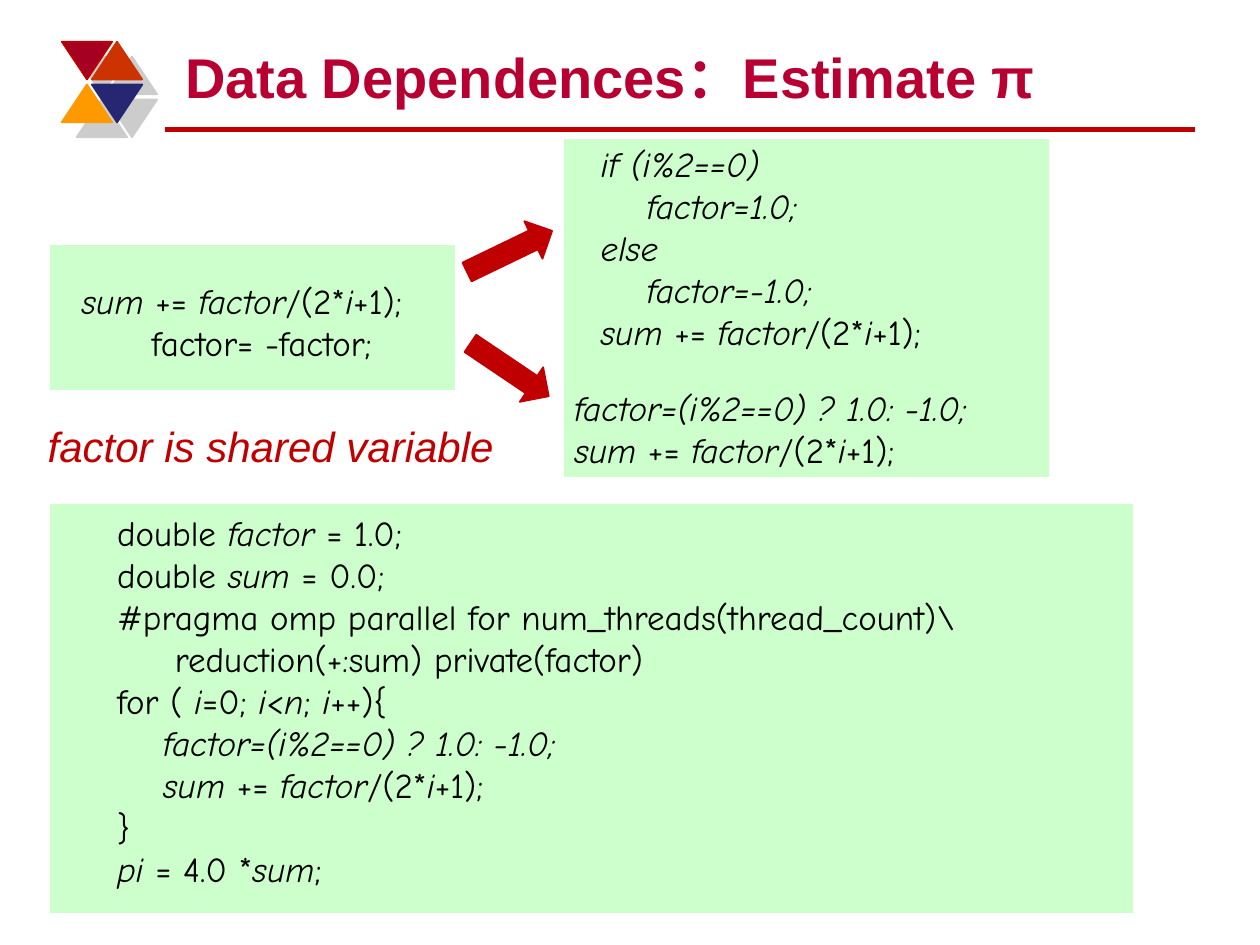
import dataclasses

import lxml.etree
import pptx
import pptx.dml.color
import pptx.enum.shapes
import pptx.enum.text
import pptx.oxml.ns
import pptx.util

Pt = pptx.util.Pt
SHAPES = pptx.enum.shapes.MSO_SHAPE
ANCHORS = pptx.enum.text.MSO_ANCHOR
SUM_LINE = "~sum~ += ~factor~/(2*~i~+1);"
TERNARY_LINE = "~factor=(i%2==0) ? 1.0: -1.0;~"


@dataclasses.dataclass(frozen=True)
class Theme:
    """Colours, fonts and type sizes of the slide."""
    title: str = "B70031"
    accent: str = "C00000"
    panel: str = "CCFFCC"
    paper: str = "FFFFFF"
    ink: str = "000000"
    maroon: str = "A50021"
    rust: str = "CC3300"
    amber: str = "FF9900"
    navy: str = "262673"
    sans: str = "Arial"
    code: str = "Comic Neue"
    title_size: int = 32
    remark_size: int = 24
    code_size: int = 20


THEME = Theme()


def rgb(value):
    """Turn a hex string into a colour."""
    return pptx.dml.color.RGBColor.from_string(value)


def add_shape(slide, kind, box, fill, line, rotation=0):
    """Place a filled and outlined preset shape."""
    shape = slide.shapes.add_shape(kind, *map(Pt, box))
    shape.shadow.inherit = False
    shape.fill.solid()
    shape.fill.fore_color.rgb = rgb(fill)
    shape.line.color.rgb = rgb(line)
    shape.line.width = Pt(1)
    shape.rotation = rotation
    return shape


def add_text(slide, box, lines, font, size, color, bold=False, anchor=ANCHORS.TOP):
    """Write (indent, text) lines, where each tilde switches italics."""
    frame = slide.shapes.add_textbox(*map(Pt, box)).text_frame
    frame.word_wrap = True
    frame.vertical_anchor = anchor
    for index, (indent, text) in enumerate(lines):
        paragraph = frame.add_paragraph() if index else frame.paragraphs[0]
        if indent:
            paragraph._p.get_or_add_pPr().set("marL", str(Pt(indent)))
        for position, part in enumerate(text.split("~")):
            if part:
                run = paragraph.add_run()
                run.text = part
                run.font.name = font
                run.font.size = Pt(size)
                run.font.bold = bold
                run.font.italic = position % 2 == 1
                run.font.color.rgb = rgb(color)


def add_drop_shadow(shape):
    """Give a shape a hard, pale shadow to the lower right."""
    qn = pptx.oxml.ns.qn
    effects = shape._element.spPr.find(qn("a:effectLst"))
    shadow = lxml.etree.SubElement(effects, qn("a:outerShdw"), blurRad="0",
                                   dist=str(Pt(12.1)), dir="2700000", algn="ctr",
                                   rotWithShape="0")
    color = lxml.etree.SubElement(shadow, qn("a:srgbClr"), val=THEME.ink)
    lxml.etree.SubElement(color, qn("a:alpha"), val="20000")


def add_ornament(slide, box):
    """Draw the four triangles in two rows."""
    left, top, width, height = box
    side, rise = 28.8, 21.6
    right, lower = width - side, height - rise
    triangles = [
        (0, 0, 180, THEME.maroon, THEME.accent),
        (right, 0, 0, THEME.rust, THEME.rust),
        (0, lower, 0, THEME.amber, THEME.amber),
        (right, lower, 180, THEME.navy, THEME.navy),
    ]
    for x, y, rotation, fill, line in triangles:
        triangle = add_shape(slide, SHAPES.ISOSCELES_TRIANGLE,
                             (left + x, top + y, side, rise), fill, line, rotation)
        add_drop_shadow(triangle)


def add_header(slide, box):
    """Place the ornament, the rule and the title."""
    left, top, width, height = box
    rule_top = top + height
    rule = slide.shapes.add_connector(
        pptx.enum.shapes.MSO_CONNECTOR.STRAIGHT,
        Pt(left + 59), Pt(rule_top), Pt(left + width), Pt(rule_top))
    rule.line.color.rgb = rgb(THEME.accent)
    rule.line.width = Pt(3)
    lxml.etree.SubElement(rule._element.spPr, pptx.oxml.ns.qn("a:effectLst"))
    add_ornament(slide, (left, top + 5.8, 46, 46.1))
    add_text(slide, (left + 63.4, top, 576, 48.2), [(0, "Data Dependences：Estimate π")],
             THEME.sans, THEME.title_size, THEME.title, True, ANCHORS.BOTTOM)


def add_code_panel(slide, box, blocks):
    """Draw a panel and its blocks of code, each given by its offset in the panel."""
    left, top, width, height = box
    add_shape(slide, SHAPES.RECTANGLE, box, THEME.panel, THEME.paper)
    for x, y, lines in blocks:
        text_box = (left + x, top + y, max(width - x, 360), len(lines) * 24 + 7.2)
        add_text(slide, text_box, lines, THEME.code, THEME.code_size, THEME.ink)


def add_arrows(slide, box):
    """Draw the arrows that fork to the upper and lower right."""
    left, top, width, height = box
    thickness = 23.8
    for y, rotation in ((0, 334.2), (height - thickness, 34)):
        add_shape(slide, SHAPES.RIGHT_ARROW, (left, top + y, width, thickness),
                  THEME.accent, THEME.accent, rotation)


def build_slide(slide):
    """Place every region of the slide."""
    add_header(slide, (35.3, 18, 647.3, 56.2))
    add_code_panel(slide, (321.8, 79.2, 277.9, 193.7), [
        (14.4, -1.4, [(0, "~if (i%2==0)~"), (26.4, "~factor=1.0;~"), (0, "~else~"),
                      (26.4, "~factor=-1.0;~"), (0, SUM_LINE)]),
        (-0.7, 138.2, [(0, TERNARY_LINE), (0, SUM_LINE)]),
    ])
    add_code_panel(slide, (28.1, 139.7, 232.6, 83.5), [
        (11.5, 16.6, [(0, SUM_LINE), (40, "factor= -factor;")]),
    ])
    add_code_panel(slide, (28.1, 287.3, 619.9, 234.7), [
        (31.7, 1.4, [
            (0, "double ~factor~ = 1.0;"),
            (0, "double ~sum~ = 0.0;"),
            (0, "#pragma omp parallel for num_threads(thread_count)\\"),
            (33, "reduction(+:sum) private(factor)"),
            (0, "for ( ~i~=0; ~i~<~n~; ~i~++){"),
            (26.4, TERNARY_LINE),
            (26.4, SUM_LINE),
            (0, "}"),
            (0, "~pi ~= 4.0 *~sum~;"),
        ]),
    ])
    add_arrows(slide, (264.2, 131.8, 54, 91.4))
    add_text(slide, (20.2, 236.9, 360, 36), [(0, "~factor is shared variable~")],
             THEME.sans, THEME.remark_size, THEME.accent)


def main():
    """Build and save the presentation."""
    presentation = pptx.Presentation()
    presentation.slide_width, presentation.slide_height = Pt(720), Pt(540)
    build_slide(presentation.slides.add_slide(presentation.slide_layouts[6]))
    presentation.save("out.pptx")


if __name__ == "__main__":
    main()
